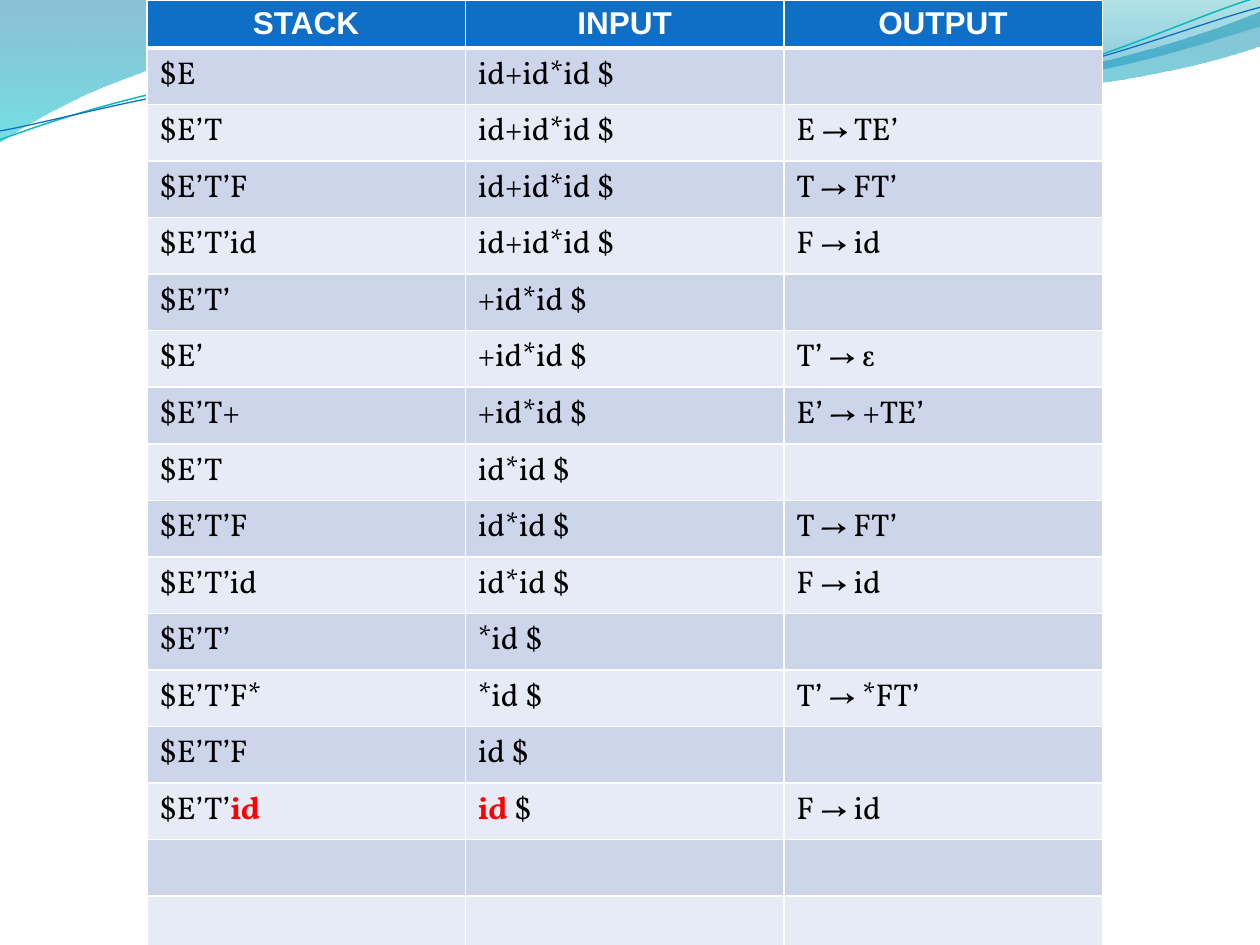
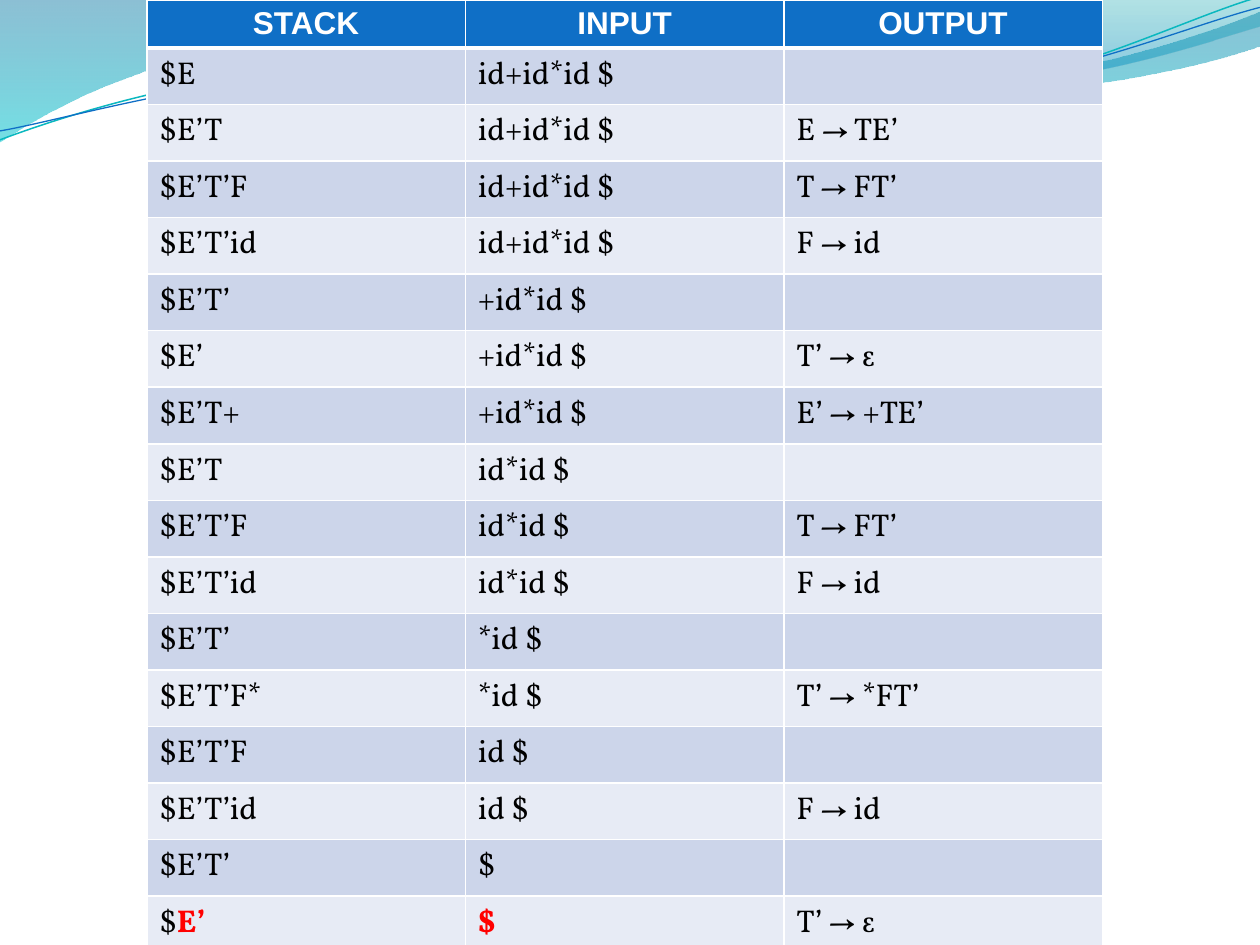
import dataclasses

import lxml.etree
import pptx
import pptx.dml.color
import pptx.enum.text
import pptx.oxml.ns
import pptx.util

Cm = pptx.util.Cm
Pt = pptx.util.Pt
qn = pptx.oxml.ns.qn


@dataclasses.dataclass(frozen=True)
class Theme:
    """Colours, fonts and type sizes of the deck."""
    header_fill: str = "0F6FC6"
    header_text: str = "FFFFFF"
    bands: tuple = ("CCD5EA", "E7EBF5")
    text: str = "000000"
    match: str = "FF0000"
    border: str = "FFFFFF"
    thin: float = 1
    thick: float = 3
    header_font: str = "Arial"
    body_font: str = "Vollkorn"
    size: int = 18
    wide_wave: tuple = ((0, "0074A1", 45), (1, "00C6CF", 55))
    right_wave: tuple = ((0, "00A1A9", 30), (0.8, "008BBF", 45))
    teal_line: tuple = ("0AB8BF", 0.85)
    blue_line: tuple = ("0F6FC6", 0.75)


THEME = Theme()

WIDE_WAVE = [
    (0, -0.03), [(11.18, -0.03)],
    [(12.09, 0.43), (16.87, 1.6), (19.25, 1.6)],
    [(21.67, 1.6), (24.33, 0.66), (25.4, 0.23)],
    [(25.43, 0.91)],
    [(24.97, 1.12), (22.1, 1.93), (18.95, 1.9)],
    [(15.8, 1.9), (9.7, 0.71), (6.53, 0.86)],
    [(3.28, 0.89), (1.17, 2.11), (-0.03, 2.87)],
    [(0, -0.03)],
]
RIGHT_WAVE = [
    (12.17, -0.03),
    [(12.93, 0.28), (17.32, 1.57), (19.53, 1.65)],
    [(21.74, 1.75), (24.41, 0.81), (25.4, 0.53)],
    [(25.4, 0)],
    [(12.17, -0.03)],
]
TEAL_LINE = [
    (0, 2.82),
    [(1.22, 2.36), (4.01, 1.45), (7.04, 1.32)],
    [(10.03, 1.19), (15.06, 2.26), (18.11, 2.03)],
    [(21.16, 1.8), (23.83, 0.38), (25.35, -0.05)],
]
BLUE_LINE = [
    (0, 2.64),
    [(1.19, 2.44), (4.17, 1.55), (7.19, 1.42)],
    [(10.24, 1.3), (15.16, 2.11), (18.21, 1.9)],
    [(21.23, 1.7), (23.9, 0.53), (25.4, 0.15)],
]

HEADINGS = ("STACK", "INPUT", "OUTPUT")
ROW_COUNT = 18
SHARED_STEPS = [
    ("$E", "id+id*id $", ""),
    ("$E’T", "id+id*id $", "E → TE’"),
    ("$E’T’F", "id+id*id $", "T → FT’"),
    ("$E’T’id", "id+id*id $", "F → id"),
    ("$E’T’", "+id*id $", ""),
    ("$E’", "+id*id $", "T’ → ε"),
    ("$E’T+", "+id*id $", "E’ → +TE’"),
    ("$E’T", "id*id $", ""),
    ("$E’T’F", "id*id $", "T → FT’"),
    ("$E’T’id", "id*id $", "F → id"),
    ("$E’T’", "*id $", ""),
    ("$E’T’F*", "*id $", "T’ → *FT’"),
    ("$E’T’F", "id $", ""),
]


@dataclasses.dataclass(frozen=True)
class Match:
    """A highlighted symbol between plain text."""
    before: str
    symbol: str
    after: str = ""


MATCH_ID_STEPS = [(Match("$E’T’", "id"), Match("", "id", " $"), "F → id")]
MATCH_END_STEPS = [
    ("$E’T’id", "id $", "F → id"),
    ("$E’T’", "$", ""),
    (Match("$", "E’"), Match("", "$"), "T’ → ε"),
]


def rgb(code):
    """Return a colour object for a hex code."""
    return pptx.dml.color.RGBColor.from_string(code)


def bend_segments(shape, segments):
    """Turn each three-point segment of a freeform into a cubic curve."""
    outline = next(shape.element.iter(qn("a:path")))
    lines = iter(outline.findall(qn("a:lnTo")))
    for segment in segments:
        steps = [next(lines) for _ in segment]
        if len(steps) == 3:
            curve = lxml.etree.Element(qn("a:cubicBezTo"))
            steps[0].addprevious(curve)
            for step in steps:
                curve.append(step[0])
                outline.remove(step)


def add_outline(page, outline, closed):
    """Draw a curved outline given in centimetres."""
    start, *segments = outline
    points = [(x * 100, y * 100) for segment in segments for x, y in segment]
    builder = page.shapes.build_freeform(
        start[0] * 100, start[1] * 100, scale=float(Cm(0.01)))
    builder.add_line_segments(points, close=closed)
    shape = builder.convert_to_shape()
    bend_segments(shape, segments)
    shape.shadow.inherit = False
    return shape


def add_wave(page, outline, stops):
    """Draw a wave with a translucent gradient running downwards."""
    shape = add_outline(page, outline, True)
    shape.fill.gradient()
    shape.fill.gradient_angle = 270
    for stop, (position, colour, _) in zip(shape.fill.gradient_stops, stops):
        stop.position = position
        stop.color.rgb = rgb(colour)
    colours = shape.element.spPr.iter(qn("a:srgbClr"))
    for colour, (_, _, opacity) in zip(colours, stops):
        alpha = lxml.etree.SubElement(colour, qn("a:alpha"))
        alpha.set("val", str(opacity * 1000))
    shape.line.fill.background()
    return shape


def add_wave_line(page, outline, stroke):
    """Draw an open curved line."""
    shape = add_outline(page, outline, False)
    shape.fill.background()
    colour, width = stroke
    shape.line.color.rgb = rgb(colour)
    shape.line.width = Pt(width)
    return shape


def decorate_master(deck, page):
    """Draw the waves and move them to the back of the master."""
    waves = [
        add_wave(page, WIDE_WAVE, THEME.wide_wave),
        add_wave(page, RIGHT_WAVE, THEME.right_wave),
        add_wave_line(page, TEAL_LINE, THEME.teal_line),
        add_wave_line(page, BLUE_LINE, THEME.blue_line),
    ]
    tree = deck.slide_master.element.cSld.spTree
    for index, wave in enumerate(waves):
        wave.element.nvSpPr.cNvPr.set("id", str(100 + index))
        tree.insert(2 + index, wave.element)


def set_borders(cell, top, bottom):
    """Give a cell its four borders, with top and bottom widths in points."""
    props = cell._tc.get_or_add_tcPr()
    widths = {"L": THEME.thin, "R": THEME.thin, "T": top, "B": bottom}
    for index, (side, width) in enumerate(widths.items()):
        line = lxml.etree.Element(qn(f"a:ln{side}"), w=str(int(Pt(width))))
        fill = lxml.etree.SubElement(line, qn("a:solidFill"))
        lxml.etree.SubElement(fill, qn("a:srgbClr"), val=THEME.border)
        props.insert(index, line)


def add_span(para, text, font, colour, bold):
    """Add one formatted run."""
    span = para.add_run()
    span.text = text
    span.font.name = font
    span.font.size = Pt(THEME.size)
    span.font.bold = bold
    span.font.color.rgb = rgb(colour)


def keep_line_height(para):
    """Give an empty paragraph the body font, so its row matches the others."""
    end = lxml.etree.SubElement(para._p, qn("a:endParaRPr"), sz=str(THEME.size * 100))
    lxml.etree.SubElement(end, qn("a:latin"), typeface=THEME.body_font)


def fill_heading(cell, text):
    """Format a heading cell."""
    cell.fill.solid()
    cell.fill.fore_color.rgb = rgb(THEME.header_fill)
    para = cell.text_frame.paragraphs[0]
    para.alignment = pptx.enum.text.PP_ALIGN.CENTER
    add_span(para, text, THEME.header_font, THEME.header_text, True)
    set_borders(cell, THEME.thin, THEME.thick)


def fill_step(cell, content, row):
    """Format a body cell with plain or highlighted content."""
    cell.fill.solid()
    cell.fill.fore_color.rgb = rgb(THEME.bands[(row - 1) % 2])
    para = cell.text_frame.paragraphs[0]
    if isinstance(content, Match):
        parts = [(content.before, False), (content.symbol, True), (content.after, False)]
    else:
        parts = [(content, False)]
    for text, matched in parts:
        if text:
            colour = THEME.match if matched else THEME.text
            add_span(para, text, THEME.body_font, colour, matched)
    if not content:
        keep_line_height(para)
    set_borders(cell, THEME.thick if row == 1 else THEME.thin, THEME.thin)


def add_parse_table(page, steps):
    """Add the table of parser moves, with empty rows up to the full count."""
    frame = page.shapes.add_table(
        ROW_COUNT, len(HEADINGS), Cm(2.96), Cm(0), Cm(19.26), Cm(18.29))
    table = frame.table
    for row in table.rows:
        row.height = Cm(1.02)
    table.rows[0].height = Cm(0.95)
    for column, heading in enumerate(HEADINGS):
        fill_heading(table.cell(0, column), heading)
    blank_steps = [("",) * len(HEADINGS)] * (ROW_COUNT - 1 - len(steps))
    for row, step in enumerate(steps + blank_steps, start=1):
        for column, content in enumerate(step):
            fill_step(table.cell(row, column), content, row)


def main():
    """Build and save the deck."""
    deck = pptx.Presentation()
    deck.slide_width, deck.slide_height = Cm(25.4), Cm(19.05)
    blank_layout = deck.slide_layouts[6]
    pages = [deck.slides.add_slide(blank_layout) for _ in range(2)]
    decorate_master(deck, pages[0])
    for page, last_steps in zip(pages, (MATCH_ID_STEPS, MATCH_END_STEPS)):
        add_parse_table(page, SHARED_STEPS + last_steps)
    deck.save("out.pptx")


if __name__ == "__main__":
    main()
